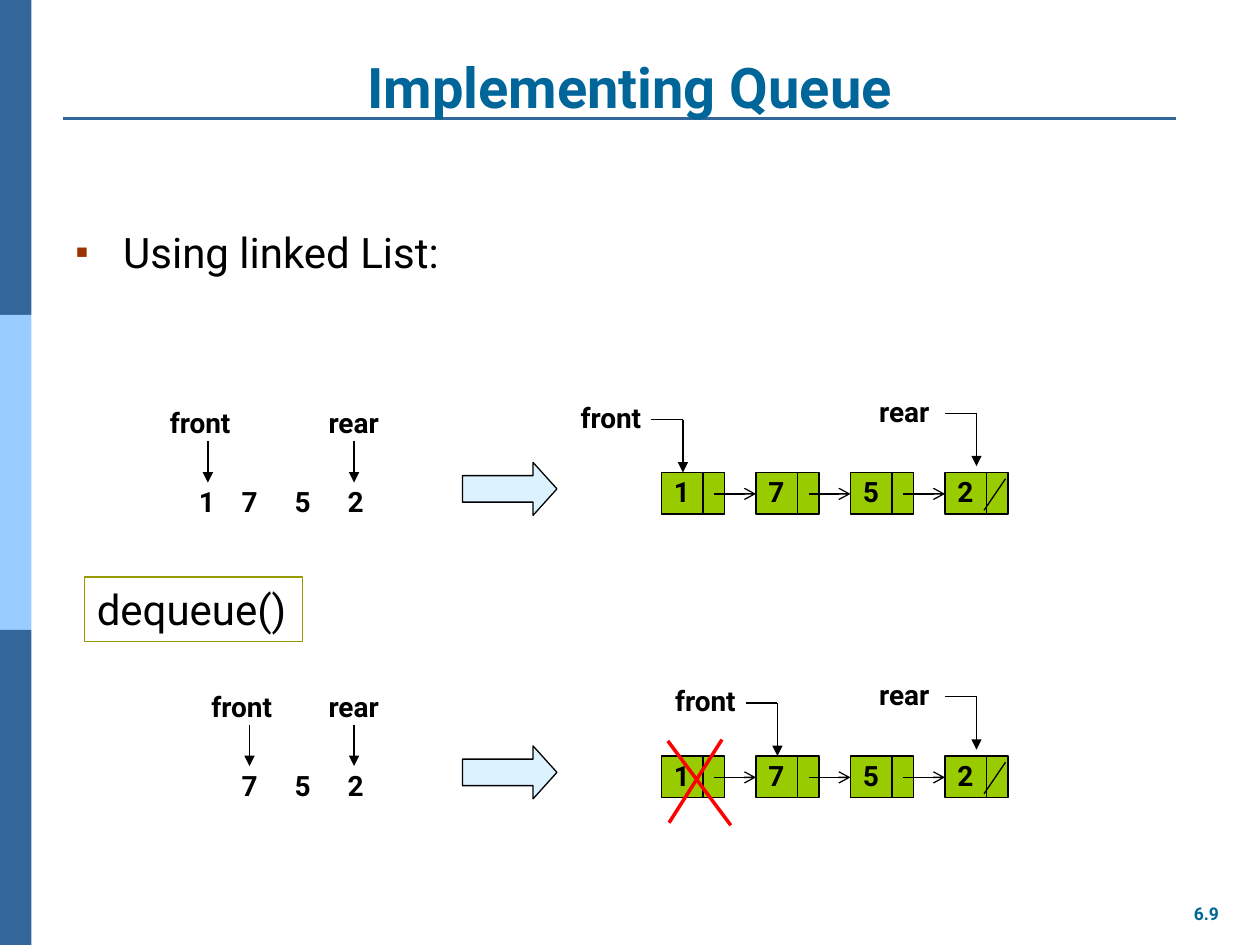
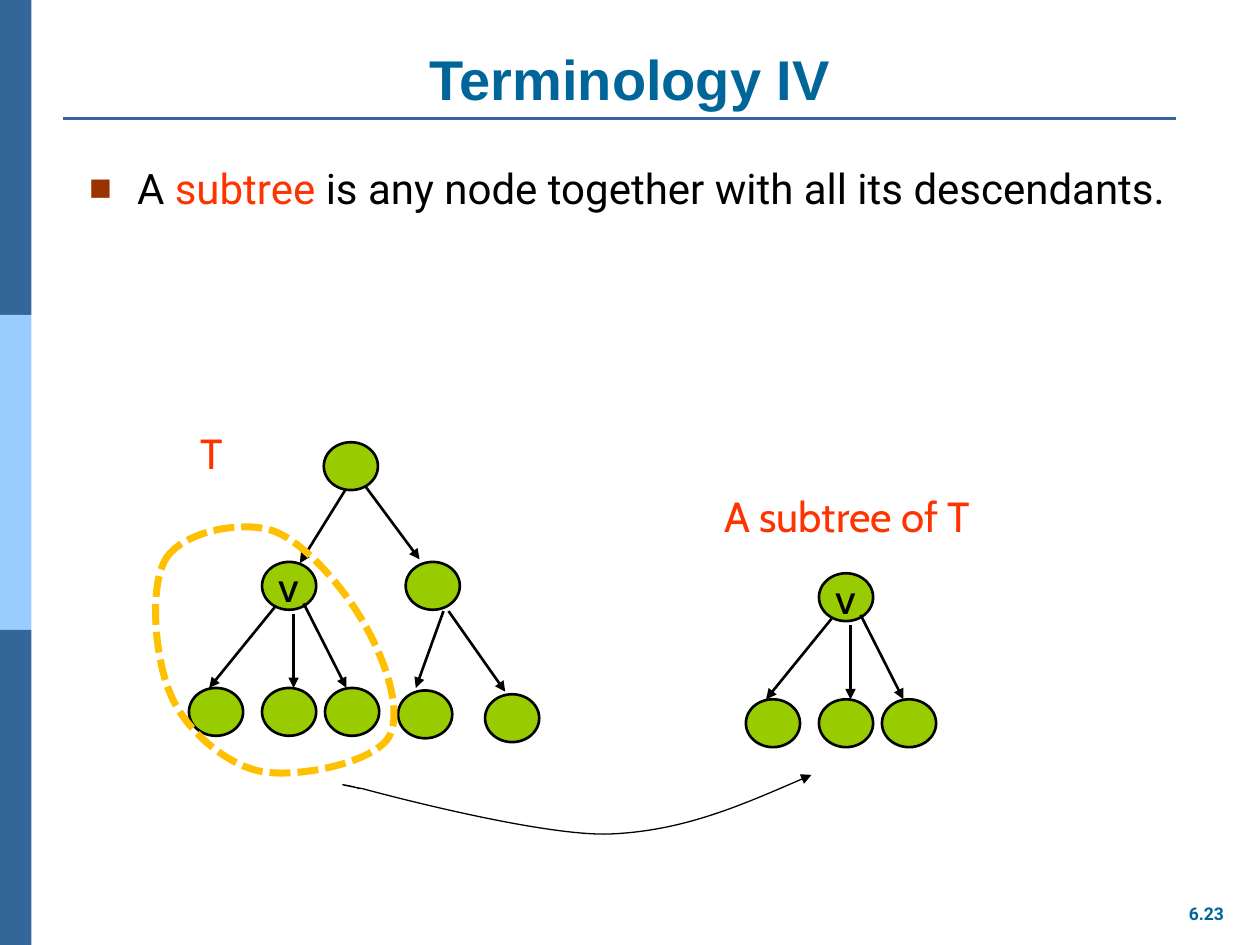
import dataclasses
import typing

import lxml.etree
import pptx
import pptx.dml.color
import pptx.enum.dml
import pptx.enum.shapes
import pptx.enum.text
import pptx.oxml.ns
import pptx.util

Inches = pptx.util.Inches
SHAPES = pptx.enum.shapes.MSO_SHAPE
ALIGN = pptx.enum.text.PP_ALIGN
ANCHOR = pptx.enum.text.MSO_ANCHOR

COLORS = {
    "band": "336699", "band_light": "99CCFF", "title": "006699",
    "bullet": "993300", "text": "000000", "accent": "FF3300",
    "node": "99CC00", "arrow": "DDF2FF", "frame": "999900",
    "cross": "FF0000", "outline": "FFC000",
}
Point = tuple[float, float]


@dataclasses.dataclass(frozen=True)
class Style:
    size: int
    font: str = "Roboto"
    color: str = "text"
    bold: bool = False


@dataclasses.dataclass(frozen=True)
class QueueState:
    """One row: the queue as digits, and the same queue as a linked list."""
    top: float
    removed: int  # digits already dequeued
    front_x: float


LABEL = Style(16, bold=True)
BODY = Style(24)
CAPTION = Style(24, "Cabin", "accent")
NUMBER = Style(10, color="title", bold=True)

DIGITS = "1752"
DIGIT_X = (1.48, 1.82, 2.24, 2.66)
STATES = (QueueState(3.08, 0, 1.65), QueueState(5.33, 1, 1.98))
LIST_X, LIST_STEP = 5.25, 0.75
NODE_W, NODE_H = 0.43, 0.38

# Each curve: a start point, then cubic segments of three points
SUBTREE_OUTLINE = [
    (1.32, 4.43),
    (1.46, 4.22), (1.9, 4.13), (2.16, 4.21),
    (2.42, 4.3), (2.74, 4.68), (2.89, 4.95),
    (3.05, 5.22), (3.21, 5.66), (3.08, 5.86),
    (2.94, 6.06), (2.35, 6.18), (2.06, 6.12),
    (1.78, 6.06), (1.46, 5.78), (1.35, 5.5),
    (1.23, 5.22), (1.18, 4.65), (1.32, 4.43),
]
POINTER_CURVE = [
    (6.44, 6.15),
    (5.93, 6.37), (5.42, 6.6), (4.82, 6.62),
    (4.23, 6.63), (2.88, 6.26), (2.88, 6.26),
    (2.55, 6.2), (2.83, 6.24), (2.85, 6.26),
]


# Basic drawing helpers
def rgb(name: str) -> pptx.dml.color.RGBColor:
    return pptx.dml.color.RGBColor.from_string(COLORS[name])


def add_mark(parent: typing.Any, tag: str, **attributes: str) -> typing.Any:
    return lxml.etree.SubElement(parent, pptx.oxml.ns.qn(tag), attributes)


def set_line(shape: typing.Any, color: str, width: float) -> None:
    shape.line.color.rgb = rgb(color)
    shape.line.width = pptx.util.Pt(width)


def format_span(span: typing.Any, style: Style) -> None:
    span.font.name = style.font
    span.font.size = pptx.util.Pt(style.size)
    span.font.bold = style.bold
    span.font.color.rgb = rgb(style.color)


def add_text(page: typing.Any, text: str, left: float, top: float, width: float,
             height: float, style: Style, align: ALIGN = ALIGN.LEFT) -> typing.Any:
    box = page.shapes.add_textbox(
        Inches(left), Inches(top), Inches(width), Inches(height))
    box.text_frame.word_wrap = False
    box.text_frame.text = text
    para = box.text_frame.paragraphs[0]
    para.alignment = align
    format_span(para.runs[0], style)
    return box


def add_shape(page: typing.Any, kind: SHAPES, left: float, top: float, width: float,
              height: float, fill: str, line_width: float = 0) -> typing.Any:
    shape = page.shapes.add_shape(
        kind, Inches(left), Inches(top), Inches(width), Inches(height))
    shape.shadow.inherit = False
    shape.fill.solid()
    shape.fill.fore_color.rgb = rgb(fill)
    if line_width:
        set_line(shape, "text", line_width)
    else:
        shape.line.fill.background()
    return shape


def add_line(page: typing.Any, start: Point, end: Point, width: float = 0.75,
             color: str = "text", tail: str = "") -> None:
    line = page.shapes.add_connector(
        pptx.enum.shapes.MSO_CONNECTOR.STRAIGHT,
        *(Inches(value) for value in (*start, *end)))
    set_line(line, color, width)
    if tail:
        add_mark(line.get_or_add_ln(), "a:tailEnd", type=tail)
    add_mark(line._element.spPr, "a:effectLst")


def add_curve(page: typing.Any, knots: list[Point], color: str, width: float,
              close: bool = False) -> typing.Any:
    start, *others = [(Inches(x), Inches(y)) for x, y in knots]
    builder = page.shapes.build_freeform(*start)
    builder.add_line_segments(others, close=close)
    curve = builder.convert_to_shape()
    curve.shadow.inherit = False
    curve.fill.background()
    set_line(curve, color, width)

    # Join every three straight segments into one cubic segment
    segments = list(curve._element.iter(pptx.oxml.ns.qn("a:lnTo")))
    for first in range(0, len(segments), 3):
        cubic = lxml.etree.Element(pptx.oxml.ns.qn("a:cubicBezTo"))
        segments[first].addprevious(cubic)
        for segment in segments[first:first + 3]:
            cubic.append(segment[0])
            segment.getparent().remove(segment)
    return curve


# Parts shared by both slides
def add_page(deck: typing.Any, title: str, font: str, top: float, height: float,
             number: str) -> typing.Any:
    page = deck.slides.add_slide(deck.slide_layouts[6])
    for index, color in enumerate(("band", "band_light", "band")):
        add_shape(page, SHAPES.RECTANGLE, 0, 2.5 * index, 0.25, 2.5, color)
    add_line(page, (0.5, 0.94), (9.33, 0.94), 1.5, "band")
    add_text(page, number, 9.33, 7.12, 0.49, 0.27, NUMBER, ALIGN.CENTER)
    heading = add_text(page, title, 0.5, top, 9, height,
                       Style(32, font, "title", True), ALIGN.CENTER)
    heading.text_frame.word_wrap = True
    heading.text_frame.vertical_anchor = ANCHOR.BOTTOM
    return page


def add_bullet(page: typing.Any, left: float, top: float, width: float, height: float,
               mark: str, parts: list[tuple[str, str]]) -> None:
    box = page.shapes.add_textbox(
        Inches(left), Inches(top), Inches(width), Inches(height))
    box.text_frame.word_wrap = True
    para = box.text_frame.paragraphs[0]
    settings = para._p.get_or_add_pPr()
    settings.set("marL", str(Inches(0.38)))
    settings.set("indent", str(Inches(-0.38)))
    add_mark(add_mark(settings, "a:buClr"), "a:srgbClr", val=COLORS["bullet"])
    add_mark(settings, "a:buSzPct", val="90000")
    add_mark(settings, "a:buFont", typeface="Arial")
    add_mark(settings, "a:buChar", char=mark)
    for text, color in parts:
        span = para.add_run()
        span.text = text
        format_span(span, dataclasses.replace(BODY, color=color))


# Queue slide
def add_digit_queue(page: typing.Any, state: QueueState) -> None:
    top = state.top
    for digit, left in list(zip(DIGITS, DIGIT_X))[state.removed:]:
        add_text(page, digit, left, top + 0.72, 0.32, 0.37, LABEL)
    for name, left, width, x in (("front", state.front_x - 0.4, 0.71, state.front_x),
                                 ("rear", 2.51, 0.63, 2.81)):
        add_text(page, name, left, top + 0.09, width, 0.37, LABEL)
        add_line(page, (x, top + 0.42), (x, top + 0.75), tail="triangle")


def add_linked_list(page: typing.Any, state: QueueState) -> None:
    top = state.top + 0.67
    bottom, middle = top + 0.33, top + 0.17
    for index, digit in enumerate(DIGITS):
        left = LIST_X + LIST_STEP * index
        add_shape(page, SHAPES.RECTANGLE, left, top, 0.5, 0.33, "node", 0.75)
        add_line(page, (left + 0.33, top), (left + 0.33, bottom))
        add_text(page, digit, left, top - 0.03, 0.32, 0.37, LABEL)
        if index < len(DIGITS) - 1:
            add_line(page, (left + 0.42, middle), (left + 0.75, middle), tail="arrow")
        else:
            add_line(page, (left + 0.48, top + 0.05), (left + 0.31, top + 0.3))

    # Pointers bend down onto the first and last nodes
    front = LIST_X + LIST_STEP * state.removed
    for name, label_x, width, label_y, bend_x in (
            ("front", front - 0.74, 0.71, state.top + 0.05, front + 0.17),
            ("rear", 6.88, 0.63, state.top, 7.75)):
        y = label_y + 0.2
        add_text(page, name, label_x, label_y, width, 0.37, LABEL)
        add_line(page, (bend_x - 0.25, y), (bend_x, y))
        add_line(page, (bend_x, y), (bend_x, y + 0.42), tail="triangle")


def build_queue_page(deck: typing.Any) -> None:
    page = add_page(deck, "Implementing Queue", "Roboto", 0.4, 0.6, "6.9")
    add_bullet(page, 0.5, 1.75, 9, 0.58, "▪", [("Using linked List:", "text")])
    for state in STATES:
        add_digit_queue(page, state)
        arrow = add_shape(page, SHAPES.RIGHT_ARROW, 3.67, state.top + 0.59,
                          0.75, 0.42, "arrow", 0.75)
        arrow.adjustments[1] = 0.45
        add_linked_list(page, state)
    call = add_text(page, "dequeue()", 0.67, 4.58, 1.73, 0.51, BODY)
    set_line(call, "frame", 0.75)
    add_line(page, (5.73, 5.87), (5.31, 6.53), 2, "cross")
    add_line(page, (5.3, 5.88), (5.8, 6.55), 2, "cross")


# Tree slide
def add_node(page: typing.Any, left: float, top: float, text: str = "") -> None:
    node = add_shape(page, SHAPES.OVAL, left, top, NODE_W, NODE_H, "node", 1.5)
    if text:
        frame = node.text_frame
        frame.word_wrap = False
        frame.vertical_anchor = ANCHOR.MIDDLE
        frame.text = text
        frame.paragraphs[0].alignment = ALIGN.CENTER
        format_span(frame.paragraphs[0].runs[0], Style(24, "Cabin"))


def add_edge(page: typing.Any, start: Point, end: Point) -> None:
    add_line(page, start, end, 1.5, tail="triangle")


def add_subtree(page: typing.Any, left: float, top: float) -> None:
    add_node(page, left, top, "v")
    for offset in (-0.58, 0, 0.5):
        add_node(page, left + offset, top + 1)
    for x, y, end_x in ((0.1, 0.36, -0.42), (0.25, 0.41, 0.25), (0.33, 0.33, 0.67)):
        add_edge(page, (left + x, top + y), (left + end_x, top + 1))


def build_tree_page(deck: typing.Any) -> None:
    page = add_page(deck, "Terminology IV", "Arial", 0.31, 0.63, "6.23")
    add_bullet(page, 0.61, 1.24, 9.14, 5.84, "■", [
        ("A ", "text"), ("subtree", "accent"),
        (" is any node together with all its descendants.", "text")])

    # Whole tree, with the subtree at v on its left
    for left, top in ((2.57, 3.51), (3.22, 4.46), (3.16, 5.48), (3.85, 5.51)):
        add_node(page, left, top)
    add_subtree(page, 2.08, 4.46)
    for start, end in (((2.74, 3.89), (2.38, 4.47)), ((2.9, 3.86), (3.33, 4.44)),
                       ((3.52, 4.85), (3.3, 5.46)), ((3.56, 4.85), (4.01, 5.49))):
        add_edge(page, start, end)

    # The same subtree on its own
    add_subtree(page, 6.5, 4.55)
    add_text(page, "T", 1.49, 3.34, 0.4, 0.5, CAPTION)
    add_text(page, "A subtree of T", 5.65, 3.84, 2.3, 0.5, CAPTION)

    # Dashed outline and the arrow between the two
    outline = add_curve(page, SUBTREE_OUTLINE, "outline", 4, close=True)
    outline.line.dash_style = pptx.enum.dml.MSO_LINE.SQUARE_DOT
    pointer = add_curve(page, POINTER_CURVE, "text", 0.75)
    add_mark(pointer.get_or_add_ln(), "a:headEnd", type="triangle")


def main() -> None:
    deck = pptx.Presentation()
    deck.slide_width, deck.slide_height = Inches(10), Inches(7.5)
    build_queue_page(deck)
    build_tree_page(deck)
    deck.save("out.pptx")


if __name__ == "__main__":
    main()
